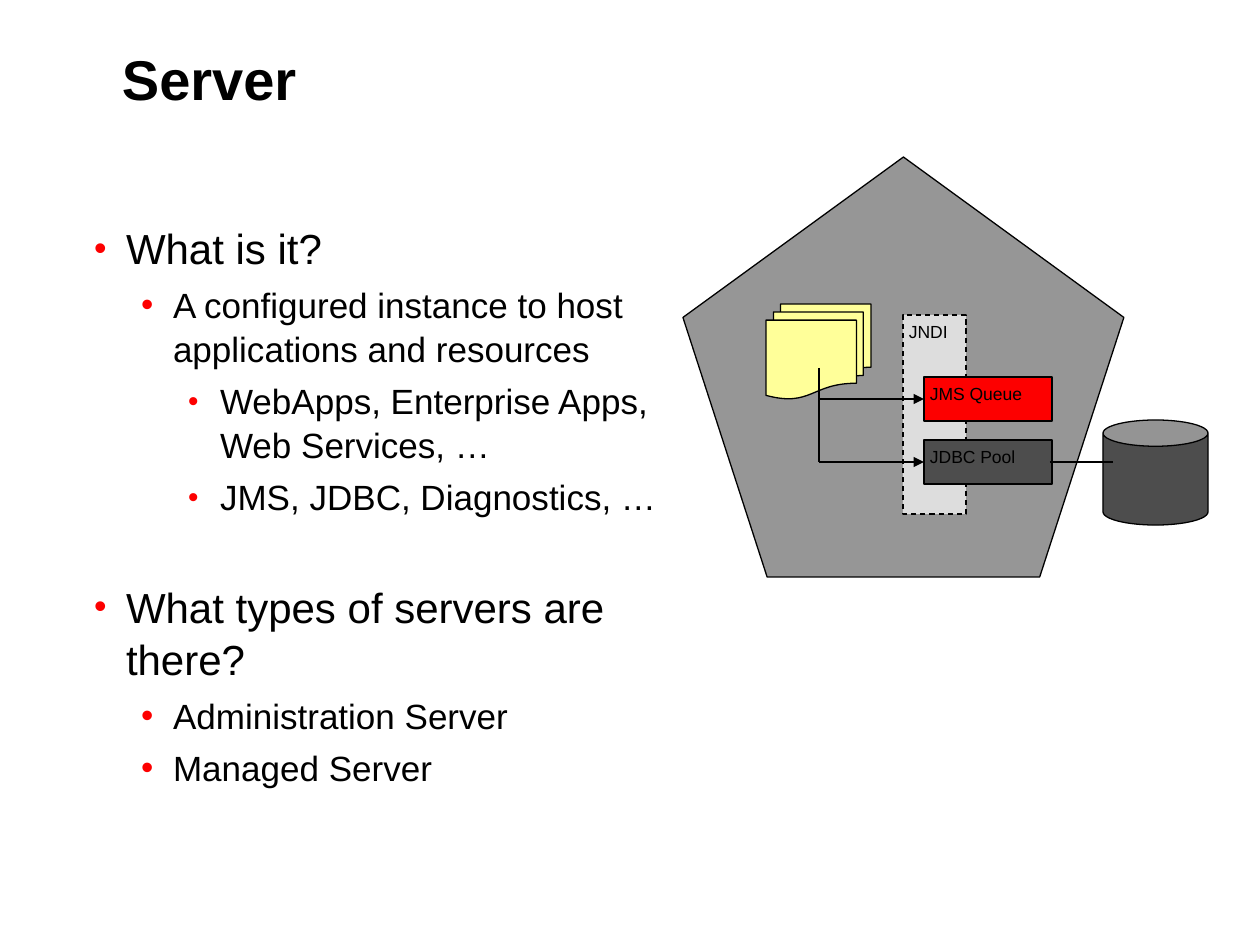
from dataclasses import dataclass

from lxml.etree import SubElement
from pptx import Presentation
from pptx.dml.color import RGBColor
from pptx.enum.dml import MSO_LINE
from pptx.enum.shapes import MSO_CONNECTOR, MSO_SHAPE
from pptx.enum.text import MSO_ANCHOR, MSO_AUTO_SIZE, PP_ALIGN
from pptx.oxml.ns import qn
from pptx.util import Pt

PX = 914400 / 126


@dataclass(frozen=True)
class Theme:
    """Colours, font and type sizes of the slide."""
    font: str = "Arial"
    ink: str = "000000"
    accent: str = "FD0000"
    server: str = "969696"
    directory: str = "DDDDDD"
    storage: str = "4D4D4D"
    document: str = "FFFF99"
    title_size: int = 32
    level_sizes: tuple = (24, 20, 20)
    label_size: int = 10
    line_width: float = 0.75


THEME = Theme()
LEVEL_INDENTS = (32, 79, 126)
LEVEL_SPACES = (6, 5, 5)
LEVEL_BULLETS = (85, 100, 85)
HANGING = 32
TOPIC_GAP = 35
TOPICS = (
    (
        (0, "What is it?"),
        (1, "A configured instance to host applications and resources"),
        (2, "WebApps, Enterprise Apps, Web Services, …"),
        (2, "JMS, JDBC, Diagnostics, …"),
    ),
    (
        (0, "What types of servers are there?"),
        (1, "Administration Server"),
        (1, "Managed Server"),
    ),
)


def emu(pixels):
    """Turn pixels into EMU."""
    return round(pixels * PX)


def color(value):
    """Turn a hex value into a colour."""
    return RGBColor.from_string(value)


def add_run(paragraph, text, size, bold=False):
    """Add a run in the theme font."""
    run = paragraph.add_run()
    run.text = text
    run.font.name = THEME.font
    run.font.size = Pt(size)
    run.font.bold = bold
    run.font.color.rgb = color(THEME.ink)


def prepare_frame(shape, margins=(0, 0, 0, 0)):
    """Set up a wrapped, top-anchored text frame."""
    frame = shape.text_frame
    frame.auto_size = MSO_AUTO_SIZE.NONE
    frame.word_wrap = True
    frame.vertical_anchor = MSO_ANCHOR.TOP
    frame.margin_left, frame.margin_top, frame.margin_right, frame.margin_bottom = map(emu, margins)
    return frame


def place(shape, box):
    """Move a placeholder to its box."""
    shape.left, shape.top, shape.width, shape.height = map(emu, box)


def set_bullet(paragraph, level):
    """Give a paragraph the bullet and indent of its level."""
    properties = paragraph._p.get_or_add_pPr()
    properties.set("marL", str(emu(LEVEL_INDENTS[level])))
    properties.set("indent", str(-emu(HANGING)))
    bullet_color = SubElement(properties, qn("a:buClr"))
    SubElement(bullet_color, qn("a:srgbClr"), val=THEME.accent)
    SubElement(properties, qn("a:buSzPct"), val=str(LEVEL_BULLETS[level] * 1000))
    SubElement(properties, qn("a:buFont"), typeface=THEME.font)
    SubElement(properties, qn("a:buChar"), char="•")


def fill_title(title, box):
    """Write the slide title."""
    place(title, box)
    paragraph = prepare_frame(title).paragraphs[0]
    paragraph.alignment = PP_ALIGN.LEFT
    paragraph.line_spacing = 1.04
    add_run(paragraph, "Server", THEME.title_size, bold=True)


def fill_body(body, box):
    """Write the topics as a bulleted list."""
    place(body, box)
    frame = prepare_frame(body)
    for topic_index, topic in enumerate(TOPICS):
        for item_index, (level, text) in enumerate(topic):
            first = topic_index == item_index == 0
            paragraph = frame.paragraphs[0] if first else frame.add_paragraph()
            paragraph.level = level
            set_bullet(paragraph, level)
            space = LEVEL_SPACES[level]
            if item_index == 0:
                space = TOPIC_GAP if topic_index else 0
            paragraph.space_before = Pt(space)
            paragraph.line_spacing = 1.04
            add_run(paragraph, text, THEME.level_sizes[level])


def draw_diagram(shapes, box):
    """Draw the server with its applications, resources and database."""
    left, top, width, height = box

    def add_part(kind, part_box, fill, label=None):
        """Add a filled shape with an optional label."""
        x, y, part_width, part_height = part_box
        shape = shapes.add_shape(kind, *map(emu, (left + x, top + y, part_width, part_height)))
        shape.shadow.inherit = False
        shape.fill.solid()
        shape.fill.fore_color.rgb = color(fill)
        shape.line.color.rgb = color(THEME.ink)
        shape.line.width = Pt(THEME.line_width)
        if label:
            paragraph = prepare_frame(shape, (6, 6, 13, 6)).paragraphs[0]
            paragraph.alignment = PP_ALIGN.LEFT
            add_run(paragraph, label, THEME.label_size)
        return shape

    def add_link(start, end, arrow=False):
        """Add a straight line, with an arrowhead if asked."""
        points = (left + start[0], top + start[1], left + end[0], top + end[1])
        connector = shapes.add_connector(MSO_CONNECTOR.STRAIGHT, *map(emu, points))
        connector.line.color.rgb = color(THEME.ink)
        connector.line.width = Pt(THEME.line_width)
        if arrow:
            SubElement(connector.line._get_or_add_ln(), qn("a:tailEnd"), type="triangle")
        SubElement(connector._element.spPr, qn("a:effectLst"))

    resource_left, trunk_left, trunk_top = 241, 136, 211
    queue_middle, pool_middle = 242, 305
    add_part(MSO_SHAPE.REGULAR_PENTAGON, (0, 0, width, height), THEME.server)
    directory = add_part(MSO_SHAPE.RECTANGLE, (220, 158, 63, 199), THEME.directory, "JNDI")
    directory.line.dash_style = MSO_LINE.DASH
    for middle, fill, label in (
        (queue_middle, THEME.accent, "JMS Queue"),
        (pool_middle, THEME.storage, "JDBC Pool"),
    ):
        add_part(MSO_SHAPE.RECTANGLE, (resource_left, middle - 22, 128, 44), fill, label)
    database = add_part(MSO_SHAPE.CAN, (420, 263, 105, 105), THEME.storage)
    database.adjustments[0] = 0.25
    add_link((367, pool_middle), (430, pool_middle))
    add_part(MSO_SHAPE.FLOWCHART_MULTIDOCUMENT, (83, 147, 105, 95), THEME.document)
    add_link((trunk_left, trunk_top), (trunk_left, pool_middle))
    for middle in (queue_middle, pool_middle):
        add_link((trunk_left, middle), (resource_left, middle), arrow=True)


def main():
    """Build and save the presentation."""
    presentation = Presentation()
    presentation.slide_width, presentation.slide_height = emu(1260), emu(945)
    slide = presentation.slides.add_slide(presentation.slide_layouts[1])
    fill_title(slide.shapes.title, (122, 42, 1045, 130))
    fill_body(slide.placeholders[1], (94, 221, 633, 599))
    draw_diagram(slide.shapes.add_group_shape().shapes, (683, 157, 441, 420))
    presentation.save("out.pptx")


if __name__ == "__main__":
    main()
